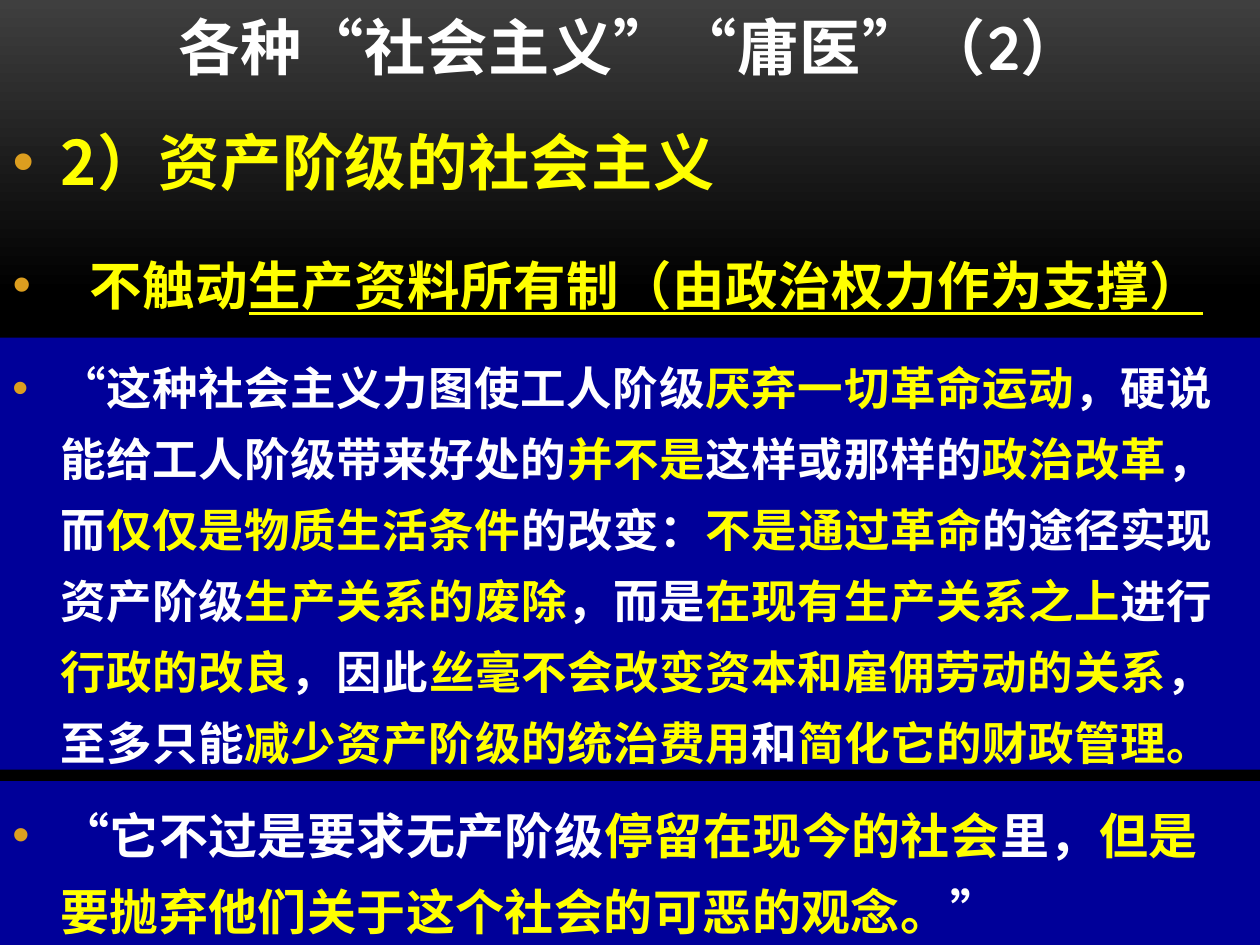
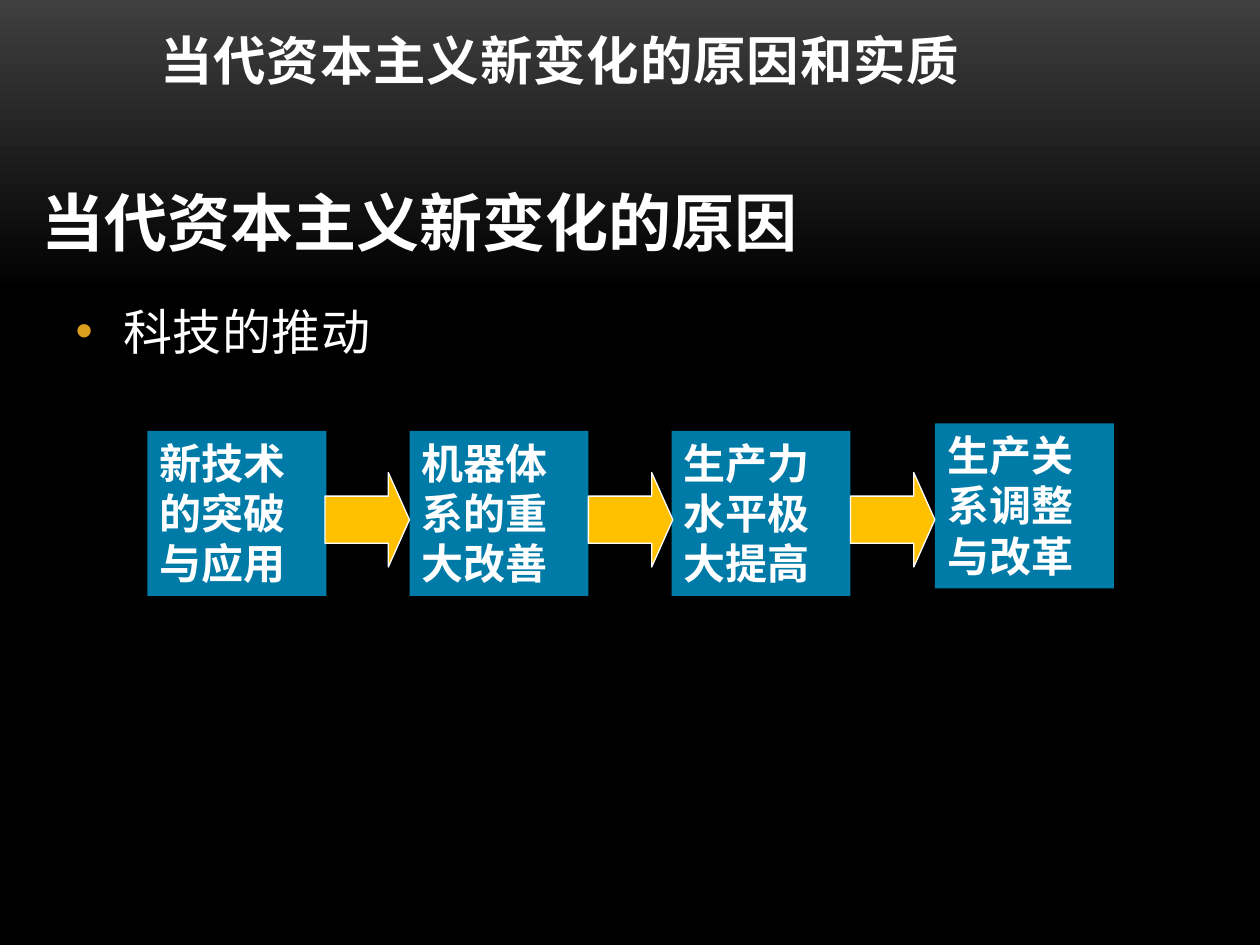
from copy import deepcopy
from dataclasses import dataclass
from itertools import cycle

from lxml import etree
from pptx import Presentation
from pptx.dml.color import RGBColor
from pptx.enum import lang, shapes, text
from pptx.oxml import ns
from pptx.util import Inches, Pt


# Theme: colours, type sizes and fonts
@dataclass(frozen=True)
class Theme:
    white: str = "FFFFFF"
    yellow: str = "FFFF00"
    bullet: str = "DC9E1F"
    glow: str = "3F3F3F"
    night: str = "000000"
    band: str = "000099"
    step: str = "00B0F0"
    step_shade: float = -0.3
    arrow: str = "FFC000"
    title_font: str = "Quicksand"
    body_font: str = "Noto Sans CJK SC"
    heading_font: str = "Times New Roman"
    step_font: str = "Arial"
    heading: int = 36
    large: int = 35
    medium: int = 30
    body: int = 28
    quote: int = 26
    step_size: int = 24
    hanging: float = 0.38
    single: float = 1.2
    loose: float = 1.56


THEME = Theme()
CELL = 1 / 12  # the page is a grid of 120 columns and 90 rows


@dataclass(frozen=True)
class Area:
    column: float
    row: float
    columns: float
    rows: float

    def lengths(self) -> list:
        return [Inches(round(cells * CELL, 2))
                for cells in (self.column, self.row, self.columns, self.rows)]


@dataclass(frozen=True)
class Span:
    words: str
    color: str = THEME.white
    underline: bool = False


@dataclass(frozen=True)
class Style:
    size: int
    font: str = THEME.body_font
    bold: bool = True
    tracking: int = 0  # hundredths of a point
    leading: float = THEME.single
    line_size: int = 0  # size that sets the line height, if not the type size
    hanging: float = 0  # bullet indent in inches, 0 for no bullet
    align: text.PP_ALIGN = text.PP_ALIGN.LEFT


@dataclass(frozen=True)
class Band:
    area: Area
    style: Style
    phrases: tuple  # plain and stressed phrases in turn


# Text
def add_bullet(para, hanging: float) -> None:
    props = para._p.get_or_add_pPr()
    props.set("marL", str(Inches(hanging)))
    props.set("indent", str(-Inches(hanging)))
    color = etree.SubElement(props, ns.qn("a:buClr"))
    etree.SubElement(color, ns.qn("a:srgbClr"), val=THEME.bullet)
    etree.SubElement(props, ns.qn("a:buFont"), typeface="Arial")
    etree.SubElement(props, ns.qn("a:buChar"), char="•")


def write(para, spans: list[Span], style: Style, first: bool = True) -> None:
    if style.hanging:
        add_bullet(para, style.hanging)
    para.alignment = style.align
    para.line_spacing = Pt(round((style.line_size or style.size) * style.leading, 1))
    para.space_before = Pt(0 if first else 7)
    para.space_after = Pt(6 if style.hanging else 0)
    for span in spans:
        run = para.add_run()
        run.text = span.words
        font = run.font
        font.size, font.bold, font.name = Pt(style.size), style.bold, style.font
        font.color.rgb = RGBColor.from_string(span.color)
        font.language_id = lang.MSO_LANGUAGE_ID.SIMPLIFIED_CHINESE
        if span.underline:
            font.underline = True
        props = run._r.get_or_add_rPr()
        if style.tracking:
            props.set("spc", str(style.tracking))
        asian = etree.Element(ns.qn("a:ea"), typeface=THEME.body_font)
        props.find(ns.qn("a:latin")).addnext(asian)


def place(box, area: Area, anchor=text.MSO_ANCHOR.TOP):
    box.left, box.top, box.width, box.height = area.lengths()
    frame = box.text_frame
    frame.word_wrap = True
    frame.auto_size = text.MSO_AUTO_SIZE.NONE
    frame.vertical_anchor = anchor
    return frame


def set_title(page, words: str, area: Area, style: Style, below: float) -> None:
    frame = place(page.shapes.title, area, text.MSO_ANCHOR.BOTTOM)
    frame.margin_top, frame.margin_bottom = 0, Inches(below)
    write(frame.paragraphs[0], [Span(words)], style)


def set_body(page, area: Area, items: list[tuple[list[Span], Style]]) -> None:
    frame = place(page.placeholders[1], area)
    for index, (spans, style) in enumerate(items):
        para = frame.add_paragraph() if index else frame.paragraphs[0]
        write(para, spans, style, first=index == 0)


# Shapes
def add_block(page, kind, area: Area, fill: str, shade: float = 0):
    block = page.shapes.add_shape(kind, *area.lengths())
    block.shadow.inherit = False
    block.fill.solid()
    block.fill.fore_color.rgb = RGBColor.from_string(fill)
    if shade:
        block.fill.fore_color.brightness = shade
    block.line.fill.background()
    return block


def add_band(page, band: Band) -> None:
    block = add_block(page, shapes.MSO_SHAPE.RECTANGLE, band.area, THEME.band)
    frame = place(block, band.area)
    colors = cycle((THEME.white, THEME.yellow))
    spans = [Span(words, color) for words, color in zip(band.phrases, colors)]
    write(frame.paragraphs[0], spans, band.style)


def add_step(page, words: str, area: Area) -> None:
    block = add_block(page, shapes.MSO_SHAPE.RECTANGLE, area, THEME.step, THEME.step_shade)
    style = Style(THEME.step_size, THEME.step_font)
    write(place(block, area).paragraphs[0], [Span(words)], style)


def add_arrow(page, area: Area) -> None:
    arrow = add_block(page, shapes.MSO_SHAPE.RIGHT_ARROW, area, THEME.arrow)
    arrow.adjustments[0], arrow.adjustments[1] = 0.5, 0.25
    arrow.line.color.rgb = RGBColor.from_string(THEME.white)
    arrow.line.width = Pt(0.75)


def paint_background(master) -> None:
    fill = master.background.fill
    fill.gradient()
    fill.gradient_angle = 270
    for stop, color, position in zip(fill.gradient_stops, (THEME.glow, THEME.night), (0, 0.31)):
        stop.color.rgb = RGBColor.from_string(color)
        stop.position = position
    stops = master.element.find(".//" + ns.qn("a:gsLst"))
    end = deepcopy(stops[-1])
    end.set("pos", "100000")
    stops.append(end)


# Slide 1: bourgeois socialism
QUOTES = (
    Band(
        Area(0, 32.2, 120, 41.2),
        Style(THEME.quote, tracking=30, leading=THEME.loose, hanging=THEME.hanging),
        ("“这种社会主义力图使工人阶级", "厌弃一切革命运动",
         "，硬说能给工人阶级带来好处的", "并不是", "这样或那样的", "政治改革",
         "，而", "仅仅是物质生活条件", "的改变：", "不是通过革命",
         "的途径实现资产阶级", "生产关系的废除", "，而是", "在现有生产关系之上",
         "进行", "行政的改良", "，因此", "丝毫不会改变资本和雇佣劳动的关系",
         "，至多只能", "减少资产阶级的统治费用", "和", "简化它的财政管理。"),
    ),
    Band(
        Area(0, 74.4, 120, 15.6),
        Style(THEME.body, tracking=30, leading=THEME.loose, hanging=THEME.hanging),
        ("“它不过是要求无产阶级", "停留在现今的社会", "里，",
         "但是要抛弃他们关于这个社会的可恶的观念。", "”"),
    ),
)


def build_socialism(page) -> None:
    set_title(page, "各种“社会主义”“庸医”（2）", Area(0, 1, 120, 7.2),
              Style(THEME.large, THEME.title_font, tracking=50,
                    align=text.PP_ALIGN.CENTER), below=0.02)
    topic = Style(THEME.large, tracking=30, leading=THEME.loose, hanging=THEME.hanging)
    point = Style(THEME.medium, tracking=30, leading=THEME.loose,
                  line_size=THEME.large, hanging=0.61)
    set_body(page, Area(0, 9.1, 120, 19.8), [
        ([Span("2）资产阶级的社会主义", THEME.yellow)], topic),
        ([Span("不触动", THEME.yellow),
          Span("生产资料所有制（由政治权力作为支撑）", THEME.yellow, underline=True)], point),
    ])
    for quote in QUOTES:
        add_band(page, quote)


# Slide 2: causes of change, as a chain of steps
STEPS = ("新技术的突破与应用", "机器体系的重大改善", "生产力水平极大提高", "生产关系调整与改革")
STEP_LEFT, STEP_PITCH, STEP_WIDTH = 14, 25, 17


def build_causes(page) -> None:
    set_title(page, "当代资本主义新变化的原因和实质", Area(14, 3.7, 106, 10.9),
              Style(THEME.medium, THEME.title_font, tracking=50), below=0.5)
    heading_area = Area(2.8, 16.9, 110.6, 7.7)
    heading = page.shapes.add_textbox(*heading_area.lengths())
    write(place(heading, heading_area).paragraphs[0], [Span("当代资本主义新变化的原因")],
          Style(THEME.heading, THEME.heading_font))
    set_body(page, Area(6, 28.1, 108, 52.3), [
        ([Span("科技的推动")],
         Style(THEME.body, bold=False, tracking=30, hanging=THEME.hanging)),
    ])
    last = len(STEPS) - 1
    for index, words in enumerate(STEPS):
        column = STEP_LEFT + index * STEP_PITCH
        row = 40.3 if index == last else 41
        add_step(page, words, Area(column, row, STEP_WIDTH, 15.7))
    for index in range(last):
        column = STEP_LEFT + index * STEP_PITCH + STEP_WIDTH
        add_arrow(page, Area(column, 45, STEP_PITCH - STEP_WIDTH, 9))


def main() -> None:
    deck = Presentation()
    deck.slide_width, deck.slide_height = Inches(120 * CELL), Inches(90 * CELL)
    paint_background(deck.slide_master)
    for build in (build_socialism, build_causes):
        build(deck.slides.add_slide(deck.slide_layouts[1]))
    deck.save("out.pptx")


if __name__ == "__main__":
    main()
